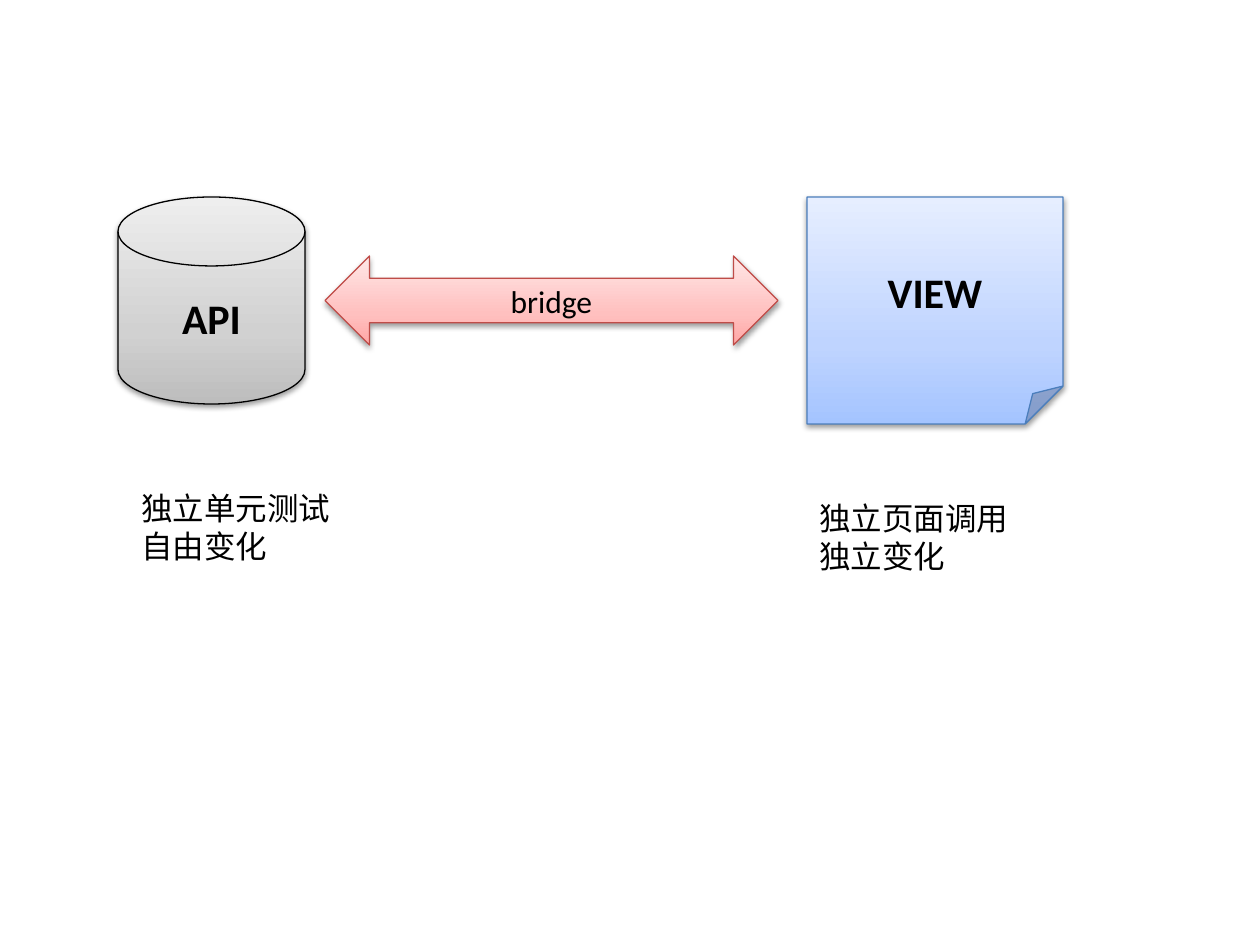
from lxml import etree
from pptx import Presentation
from pptx.dml.color import RGBColor
from pptx.enum.shapes import MSO_SHAPE
from pptx.enum.text import MSO_ANCHOR, MSO_AUTO_SIZE, PP_ALIGN
from pptx.oxml import parse_xml
from pptx.oxml.ns import nsdecls, qn
from pptx.util import Emu, Pt

DISK = MSO_SHAPE.FLOWCHART_MAGNETIC_DISK
NOTE = MSO_SHAPE.FOLDED_CORNER
ARROW = MSO_SHAPE.LEFT_RIGHT_ARROW
MIDDLE = MSO_ANCHOR.MIDDLE
GROW = MSO_AUTO_SIZE.SHAPE_TO_FIT_TEXT
LEFT, CENTER = PP_ALIGN.LEFT, PP_ALIGN.CENTER

PX_PER_INCH = 126
FONT = "Calibri"
COLORS = {
    "text": "000000",
    "api_line": "000000",
    "view_line": "4B7EBC",
    "bridge_line": "BF4C48",
}
# Gradient stops from the bottom edge to the top edge
GRADIENTS = {
    "api": ("BDBDBD", "D1D1D1", "EEEEEE"),
    "view": ("A4C4FF", "BFD4FF", "E6EEFF"),
    "bridge": ("FFA6A5", "FFC0BF", "FFE7E7"),
}
STOP_POSITIONS = (0, 35, 100)


def px(length):
    return Emu(round(length * 914400 / PX_PER_INCH))


def write_text(frame, text, size=18, bold=False, align=LEFT):
    frame.word_wrap = True
    paragraph = frame.paragraphs[0]
    paragraph.text = text
    paragraph.alignment = align
    for run in paragraph.runs:
        run.font.name = FONT
        run.font.size = Pt(size)
        run.font.bold = bold
        run.font.color.rgb = RGBColor.from_string(COLORS["text"])


def fill_gradient(shape, stop_colors):
    shape.fill.gradient()
    shape.fill.gradient_angle = 90
    stops = shape.fill._fill._gradFill.find(qn("a:gsLst"))
    for old_stop in list(stops):
        stops.remove(old_stop)
    for position, color in zip(STOP_POSITIONS, stop_colors):
        stop = etree.SubElement(stops, qn("a:gs"), pos=str(position * 1000))
        etree.SubElement(stop, qn("a:srgbClr"), val=color)


def drop_shadow(shape):
    shape.shadow.inherit = False
    effects = shape._element.spPr.find(qn("a:effectLst"))
    effects.append(parse_xml(
        f'<a:outerShdw {nsdecls("a")} blurRad="40000" dist="20000" '
        'dir="5400000" rotWithShape="0"><a:srgbClr val="000000">'
        '<a:alpha val="38000"/></a:srgbClr></a:outerShdw>'))


def add_part(slide, box, kind, role, label, **text_format):
    part = slide.shapes.add_shape(kind, *map(px, box))
    fill_gradient(part, GRADIENTS[role])
    part.line.color.rgb = RGBColor.from_string(COLORS[f"{role}_line"])
    part.line.width = Pt(0.75)
    drop_shadow(part)
    part.text_frame.vertical_anchor = MIDDLE
    write_text(part.text_frame, label, align=CENTER, **text_format)


def add_caption(slide, box, text):
    caption = slide.shapes.add_textbox(*map(px, box))
    write_text(caption.text_frame, text)
    caption.text_frame.auto_size = GROW


def add_api(slide, left, top):
    add_part(slide, (left, top, 187, 207), DISK, "api", "API",
             size=24, bold=True)
    add_caption(slide, (left + 11, top + 286, 256, 89), "独立单元测试\n自由变化")


def add_view(slide, left, top):
    add_part(slide, (left, top, 256, 227), NOTE, "view", "VIEW",
             size=24, bold=True)
    add_caption(slide, (left, top + 296, 256, 89), "独立页面调用\n独立变化")


def add_bridge(slide, left, top):
    add_part(slide, (left, top, 453, 89), ARROW, "bridge", "bridge")


def main():
    deck = Presentation()
    deck.slide_width, deck.slide_height = px(1260), px(945)
    slide = deck.slides.add_slide(deck.slide_layouts[6])
    row_top = 197
    add_api(slide, 118, row_top)
    add_view(slide, 807, row_top)
    add_bridge(slide, 325, row_top + 59)
    deck.save("out.pptx")


if __name__ == "__main__":
    main()
